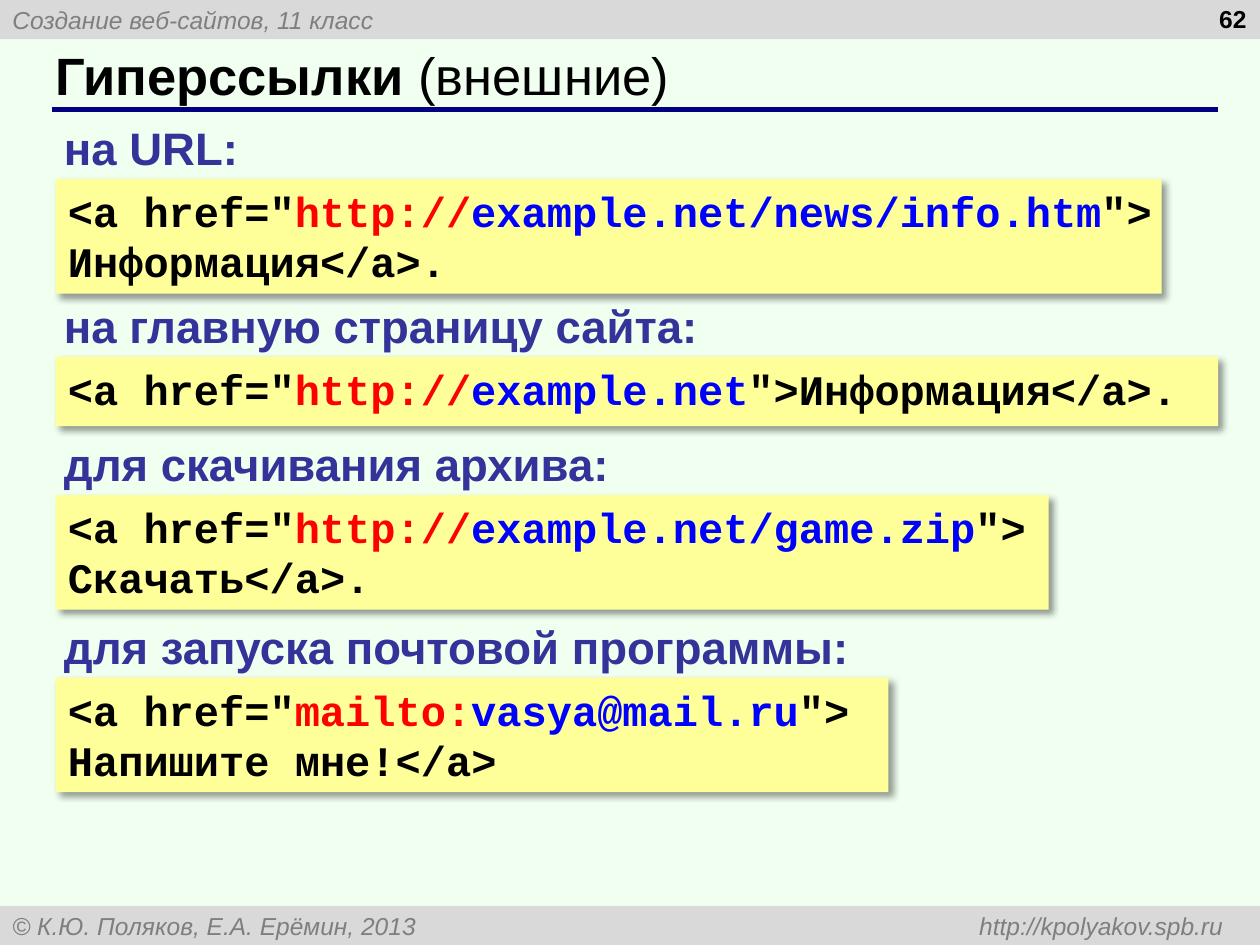
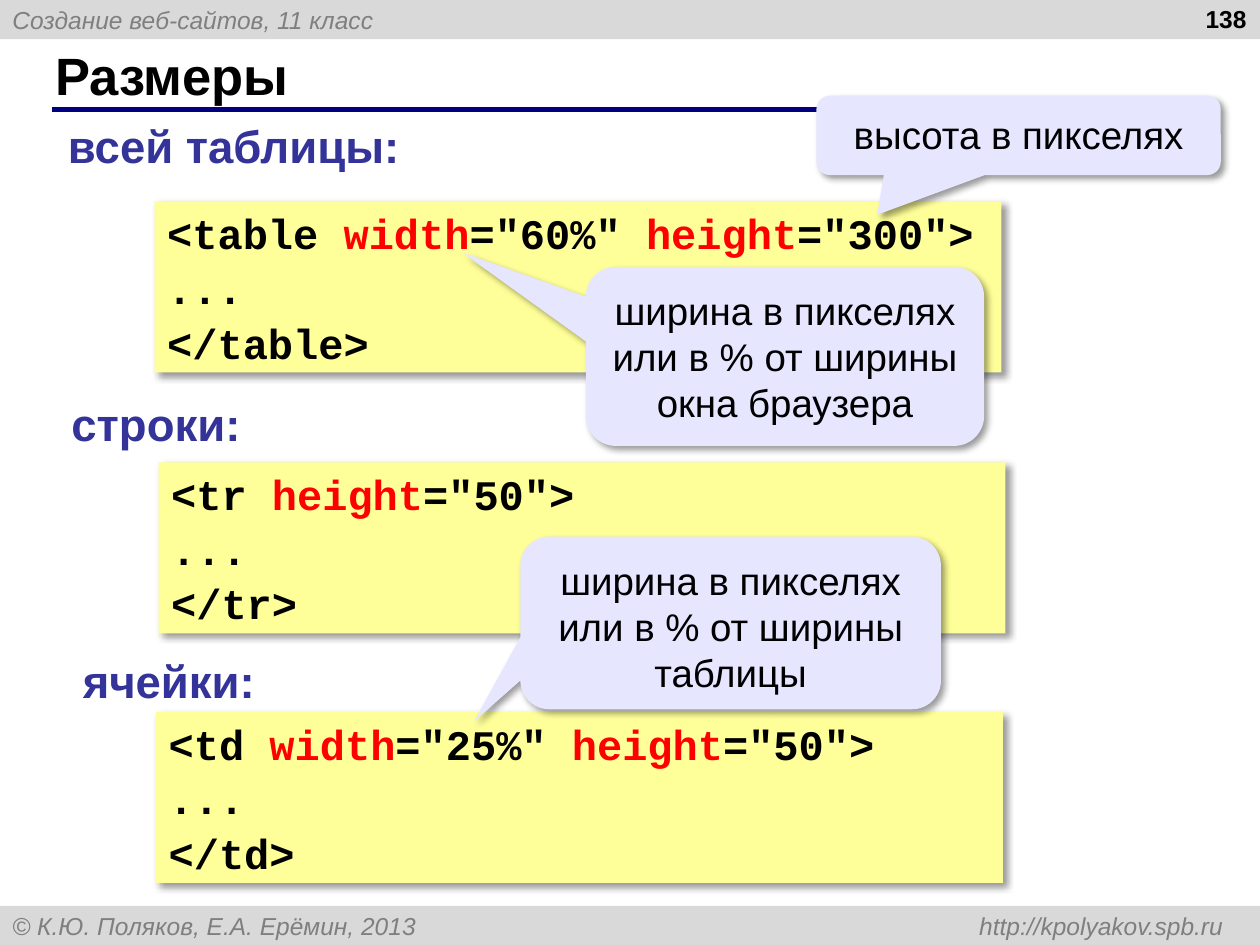
"""Build two lesson slides on hyperlinks and table sizes."""
from dataclasses import dataclass

from lxml import etree
from pptx import Presentation
from pptx.dml.color import RGBColor
from pptx.enum import shapes, text
from pptx.oxml import ns
from pptx.util import Cm, Pt


@dataclass(frozen=True)
class Theme:
    """Colours, fonts and type sizes of the lesson."""
    mint: str = "F0FFF0"
    white: str = "FFFFFF"
    band: str = "D9D9D9"
    muted: str = "7F7F7F"
    rule: str = "000080"
    ink: str = "000000"
    label: str = "333399"
    code_fill: str = "FFFF99"
    callout_fill: str = "E6E6FF"
    keyword: str = "FF0000"
    address: str = "0000FF"
    body_font: str = "Arial"
    code_font: str = "Courier New"
    title_size: int = 30
    label_size: int = 26
    code_size: int = 24
    callout_size: int = 22
    small_size: int = 14


THEME = Theme()
WIDTH, HEIGHT, BAND_HEIGHT = 25.4, 19.05, 0.79
INSETS = (0.25, 0.13, 0.25, 0.13)
CODE_INSETS = (0.25, 0.13, 0, 0.13)


def rgb(value):
    """Turn a hex string into a colour."""
    return RGBColor.from_string(value)


def box(left, top, width, height):
    """Return a frame given in centimetres."""
    return Cm(left), Cm(top), Cm(width), Cm(height)


def child(parent, tag, **attributes):
    """Append a drawing element with attributes."""
    values = {name: str(value) for name, value in attributes.items()}
    return etree.SubElement(parent, ns.qn(tag), values)


def write_text(shape, lines, *, size, font=THEME.body_font, color=THEME.ink,
               bold=False, italic=False, align=text.PP_ALIGN.LEFT,
               anchor=text.MSO_ANCHOR.TOP, insets=INSETS, gap=0, tab=None):
    """Fill a shape with lines, each a string or a list of (text, overrides)."""
    frame = shape.text_frame
    frame.word_wrap = True
    frame.auto_size = text.MSO_AUTO_SIZE.NONE
    frame.vertical_anchor = anchor
    (frame.margin_left, frame.margin_top,
     frame.margin_right, frame.margin_bottom) = map(Cm, insets)
    for index, line in enumerate(lines):
        paragraph = frame.add_paragraph() if index else frame.paragraphs[0]
        paragraph.alignment = align
        if index and gap:
            paragraph.space_before = Pt(gap)
        if tab:
            tabs = child(paragraph._p.get_or_add_pPr(), "a:tabLst")
            child(tabs, "a:tab", pos=Cm(tab), algn="r")
        for words, changes in [(line, {})] if isinstance(line, str) else line:
            run = paragraph.add_run()
            run.text = words
            run.font.name = font
            run.font.size = Pt(size)
            run.font.bold = changes.get("bold", bold)
            run.font.italic = italic
            run.font.color.rgb = rgb(changes.get("color", color))


def add_panel(slide, kind, frame, fill, shadow=False):
    """Add a filled shape without outline, optionally with a soft shadow."""
    shape = slide.shapes.add_shape(kind, *box(*frame))
    shape.fill.solid()
    shape.fill.fore_color.rgb = rgb(fill)
    shape.line.fill.background()
    shape.shadow.inherit = False
    if shadow:
        effects = shape._element.spPr.find(ns.qn("a:effectLst"))
        outer = child(effects, "a:outerShdw", blurRad=Pt(4), dist=Pt(3),
                      dir=45 * 60000, algn="tl", rotWithShape=0)
        child(child(outer, "a:srgbClr", val=THEME.ink), "a:alpha", val=40000)
    return shape


def add_band(slide, top, words, tab=None):
    """Add a grey band across the slide."""
    band = add_panel(slide, shapes.MSO_SHAPE.RECTANGLE,
                     (0, top, WIDTH, BAND_HEIGHT), THEME.band)
    write_text(band, [words], size=THEME.small_size, color=THEME.muted,
               italic=True, anchor=text.MSO_ANCHOR.MIDDLE, tab=tab)


def add_rule(slide):
    """Draw the line under the title."""
    rule = slide.shapes.add_connector(shapes.MSO_CONNECTOR.STRAIGHT,
                                      Cm(1.04), Cm(2.21), Cm(24.56), Cm(2.21))
    rule.line.color.rgb = rgb(THEME.rule)
    rule.line.width = Pt(3)
    child(rule._element.spPr, "a:effectLst")


def start_slide(presentation, title, number, background):
    """Add a slide with its bands, title, rule and number."""
    slide = presentation.slides.add_slide(presentation.slide_layouts[5])
    slide.background.fill.solid()
    slide.background.fill.fore_color.rgb = rgb(background)
    add_band(slide, 0, "Создание веб-сайтов, 11 класс")
    add_band(slide, HEIGHT - BAND_HEIGHT,
             "© К.Ю. Поляков, Е.А. Ерёмин, 2013\thttp://kpolyakov.spb.ru", tab=24.41)
    add_rule(slide)
    heading = slide.shapes.title
    heading.left, heading.top, heading.width, heading.height = box(0.86, 0.84, 23.27, 1.32)
    write_text(heading, [title], size=THEME.title_size, bold=True,
               anchor=text.MSO_ANCHOR.MIDDLE)
    page = slide.shapes.add_textbox(*box(19.46, 0, 5.92, 1.27))
    write_text(page, [number], size=THEME.small_size, bold=True,
               align=text.PP_ALIGN.RIGHT, insets=(0.25, 0.08, 0.25, 0.13))
    return slide


def add_label(slide, left, top, width, words):
    """Add a heading above a code panel."""
    label = slide.shapes.add_textbox(*box(left, top, width, 1.37))
    write_text(label, [words], size=THEME.label_size, color=THEME.label,
               bold=True, insets=CODE_INSETS)


def add_code(slide, frame, lines, gap=0):
    """Add a yellow panel with code."""
    panel = add_panel(slide, shapes.MSO_SHAPE.RECTANGLE, frame,
                      THEME.code_fill, shadow=True)
    write_text(panel, lines, size=THEME.code_size, font=THEME.code_font,
               bold=True, insets=CODE_INSETS, gap=gap)


def add_callout(slide, frame, pointer, words):
    """Add a rounded callout with its pointer."""
    callout = add_panel(slide, shapes.MSO_SHAPE.ROUNDED_RECTANGULAR_CALLOUT,
                        frame, THEME.callout_fill, shadow=True)
    for index, value in enumerate((*pointer, 0.167)):
        callout.adjustments[index] = value
    write_text(callout, [words], size=THEME.callout_size,
               align=text.PP_ALIGN.CENTER, insets=(0.25, 0.23, 0.25, 0.13))


def link_line(scheme, address, ending=""):
    """Return the coloured runs of an opening link tag."""
    return [('<a href="', {}), (scheme, {"color": THEME.keyword}),
            (address, {"color": THEME.address}), ('">' + ending, {})]


def tag_lines(name, **attributes):
    """Return the code lines of a tag with highlighted attributes."""
    opening = [(f"<{name}", {})]
    for attribute, value in attributes.items():
        opening += [(" ", {}), (attribute, {"color": THEME.keyword}),
                    (f'="{value}"', {})]
    return [opening + [(">", {})], "...", f"</{name}>"]


def build_links(presentation):
    """Build the slide on external hyperlinks."""
    title = [("Гиперссылки ", {}), ("(внешние)", {"bold": False})]
    slide = start_slide(presentation, title, "62", THEME.mint)
    examples = [
        (2.29, 4.06, "на URL:", 22.3,
         [link_line("http://", "example.net/news/info.htm"), "Информация</a>."]),
        (5.87, 13.44, "на главную страницу сайта:", 23.44,
         [link_line("http://", "example.net", "Информация</a>.")]),
        (8.66, 11.61, "для скачивания архива:", 20.02,
         [link_line("http://", "example.net/game.zip"), "Скачать</a>."]),
        (12.34, 17.04, "для запуска почтовой программы:", 16.79,
         [link_line("mailto:", "vasya@mail.ru"), "Напишите мне!</a>"]),
    ]
    for top, label_width, words, code_width, lines in examples:
        add_label(slide, 1.04, top, label_width, words)
        height = 0.49 + 0.91 * len(lines)
        add_code(slide, (1.12, top + 1.32, code_width, height), lines)


def build_sizes(presentation):
    """Build the slide on table, row and cell sizes."""
    slide = start_slide(presentation, "Размеры", "138", THEME.white)
    examples = [
        ((1.12, 2.26, 7.24), "всей таблицы:", (3.12, 4.06),
         tag_lines("table", width="60%", height="300")),
        ((1.19, 7.85, 3.91), "строки:", (3.2, 9.32),
         tag_lines("tr", height="50")),
        ((1.42, 13.03, 3.99), "ячейки:", (3.15, 14.35),
         tag_lines("td", width="25%", height="50")),
    ]
    for label_place, words, code_corner, lines in examples:
        add_label(slide, *label_place, words)
        add_code(slide, (*code_corner, 17.07, 3.45), lines, gap=2.4)
    width_hint = "ширина в пикселях или в % от ширины "
    add_callout(slide, (11.81, 5.38, 8.03, 3.61), (-0.81, -0.58),
                width_hint + "окна браузера")
    add_callout(slide, (16.46, 1.93, 8.15, 1.6), (-0.35, 1), "высота в пикселях")
    add_callout(slide, (10.49, 10.82, 8.48, 3.48), (-0.61, 0.57),
                width_hint + "таблицы")


def main():
    """Create the presentation and save it."""
    presentation = Presentation()
    presentation.slide_width, presentation.slide_height = Cm(WIDTH), Cm(HEIGHT)
    build_links(presentation)
    build_sizes(presentation)
    presentation.save("out.pptx")


if __name__ == "__main__":
    main()
